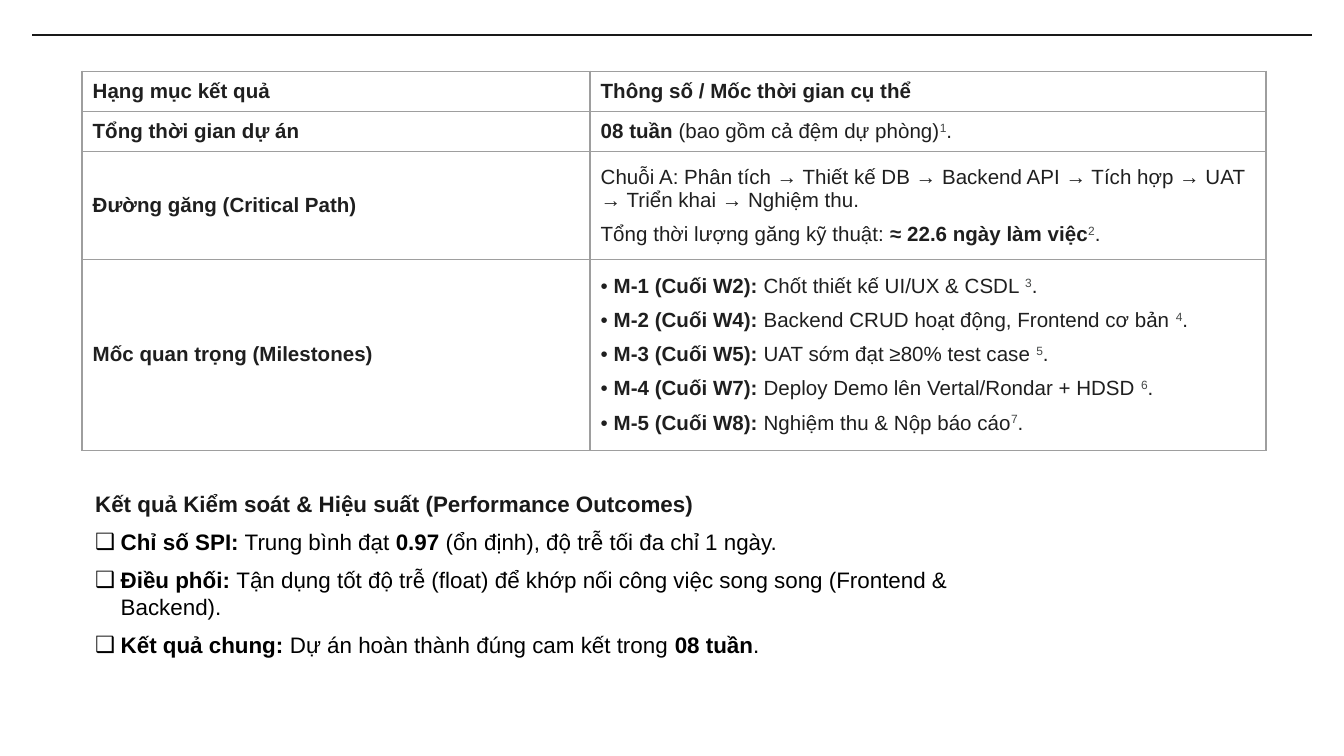
from pptx import Presentation
from pptx.dml.color import RGBColor
from pptx.enum.shapes import MSO_CONNECTOR
from pptx.enum.text import MSO_ANCHOR, MSO_AUTO_SIZE
from pptx.oxml import parse_xml
from pptx.oxml.ns import nsdecls
from pptx.util import Inches, Pt

THEME = {
    "font": "Arial", "cell": 11, "body": 12, "gap": 6, "rule": 0.75,
    "ink": "1F1F1F", "note": "444746", "head": "191919",
    "text": "000000", "grid": "9E9E9E",
}

# Each paragraph is a list of (style, text): b bold, r regular, n raised note.
STAGES = ["Phân tích", "Thiết kế DB", "Backend API", "Tích hợp", "UAT",
          "Triển khai", "Nghiệm thu."]
MARKS = [
    ("M-1 (Cuối W2):", " Chốt thiết kế UI/UX & CSDL ", "3"),
    ("M-2 (Cuối W4):", " Backend CRUD hoạt động, Frontend cơ bản ", "4"),
    ("M-3 (Cuối W5):", " UAT sớm đạt ≥80% test case ", "5"),
    ("M-4 (Cuối W7):", " Deploy Demo lên Vertal/Rondar + HDSD ", "6"),
    ("M-5 (Cuối W8):", " Nghiệm thu & Nộp báo cáo", "7"),
]
ROWS = [
    ("Hạng mục kết quả", [[("b", "Thông số / Mốc thời gian cụ thể")]]),
    ("Tổng thời gian dự án", [
        [("b", "08 tuần"), ("r", " (bao gồm cả đệm dự phòng)"),
         ("n", "1"), ("r", ".")]]),
    ("Đường găng (Critical Path)", [
        [("r", "Chuỗi A: " + " → ".join(STAGES))],
        [("r", "Tổng thời lượng găng kỹ thuật: "),
         ("b", "≈ 22.6 ngày làm việc"), ("n", "2"), ("r", ".")]]),
    ("Mốc quan trọng (Milestones)", [
        [("r", "• "), ("b", mark), ("r", goal), ("n", num), ("r", ".")]
        for mark, goal, num in MARKS]),
]
TITLE = [("b", "Kết quả Kiểm soát & Hiệu suất (Performance Outcomes)")]
POINTS = [
    [("b", "Chỉ số SPI:"), ("r", " Trung bình đạt "), ("b", "0.97"),
     ("r", " (ổn định), độ trễ tối đa chỉ 1 ngày.")],
    [("b", "Điều phối: "),
     ("r", "Tận dụng tốt độ trễ (float) để khớp nối công việc song song "
           "(Frontend & Backend).")],
    [("b", "Kết quả chung: "), ("r", "Dự án hoàn thành đúng cam kết trong "),
     ("b", "08 tuần"), ("r", ".")],
]

WIDE = Inches(10)
HIGH = WIDE * 9 // 16
LEFT = 0.61
COLS = [3.78, 5.03]
DEPTHS = [0.3, 0.3, 0.8, 1.42]


def color(name):
    return RGBColor.from_string(THEME[name])


def write(frame, paras, size, ink):
    """Fill a text frame with styled paragraphs and return them."""
    made = []
    for i, runs in enumerate(paras):
        para = frame.add_paragraph() if i else frame.paragraphs[0]
        para.space_before = Pt(THEME["gap"] if i else 0)
        for style, text in runs:
            run = para.add_run()
            run.text = text
            font = run.font
            font.name, font.size = THEME["font"], Pt(THEME[size])
            font.bold = style == "b"
            font.color.rgb = color("note" if style == "n" else ink)
            if style == "n":
                run._r.get_or_add_rPr().set("baseline", "30000")
        made.append(para)
    return made


def mark(para):
    """Give a paragraph a box bullet with a hanging indent."""
    props = para._p.get_or_add_pPr()
    props.set("marL", str(Inches(0.19)))
    props.set("indent", str(-Inches(0.19)))
    space = nsdecls("a")
    props.append(parse_xml(
        f'<a:buFont {space} typeface="{THEME["font"]}"/>'))
    props.append(parse_xml(f'<a:buChar {space} char="❑"/>'))


def border(cell):
    props = cell._tc.get_or_add_tcPr()
    for i, side in enumerate(("lnL", "lnR", "lnT", "lnB")):
        props.insert(i, parse_xml(
            f'<a:{side} {nsdecls("a")} w="{Pt(THEME["rule"])}"><a:solidFill>'
            f'<a:srgbClr val="{THEME["grid"]}"/></a:solidFill></a:{side}>'))


def add_rule(slide):
    edge, y = Inches(0.24), Inches(0.26)
    rule = slide.shapes.add_connector(
        MSO_CONNECTOR.STRAIGHT, edge, y, WIDE - edge, y)
    rule.line.color.rgb = color("head")
    rule.line.width = Pt(THEME["rule"])
    rule._element.spPr.append(parse_xml(f'<a:effectLst {nsdecls("a")}/>'))


def add_grid(slide):
    table = slide.shapes.add_table(
        len(ROWS), len(COLS), Inches(LEFT), Inches(0.53),
        Inches(sum(COLS)), Inches(sum(DEPTHS))).table
    table.first_row = table.horz_banding = False
    for col, width in zip(table.columns, COLS):
        col.width = Inches(width)
    for row, depth, (label, paras) in zip(table.rows, DEPTHS, ROWS):
        row.height = Inches(depth)
        for cell, body in zip(row.cells, ([[("b", label)]], paras)):
            cell.fill.background()
            cell.vertical_anchor = MSO_ANCHOR.MIDDLE
            cell.margin_left = cell.margin_right = Inches(0.08)
            cell.margin_top = cell.margin_bottom = Inches(0.05)
            border(cell)
            write(cell.text_frame, body, "cell", "ink")


def add_notes(slide):
    box = slide.shapes.add_textbox(
        Inches(LEFT), Inches(3.69), Inches(7.33), Inches(1.16))
    frame = box.text_frame
    frame.word_wrap = True
    frame.auto_size = MSO_AUTO_SIZE.SHAPE_TO_FIT_TEXT
    frame.vertical_anchor = MSO_ANCHOR.MIDDLE
    head, *points = write(frame, [TITLE] + POINTS, "body", "text")
    head.runs[0].font.color.rgb = color("head")
    for para in points:
        mark(para)


def main():
    deck = Presentation()
    deck.slide_width, deck.slide_height = WIDE, HIGH
    slide = deck.slides.add_slide(deck.slide_layouts[6])
    add_rule(slide)
    add_grid(slide)
    add_notes(slide)
    deck.save("out.pptx")


if __name__ == "__main__":
    main()
